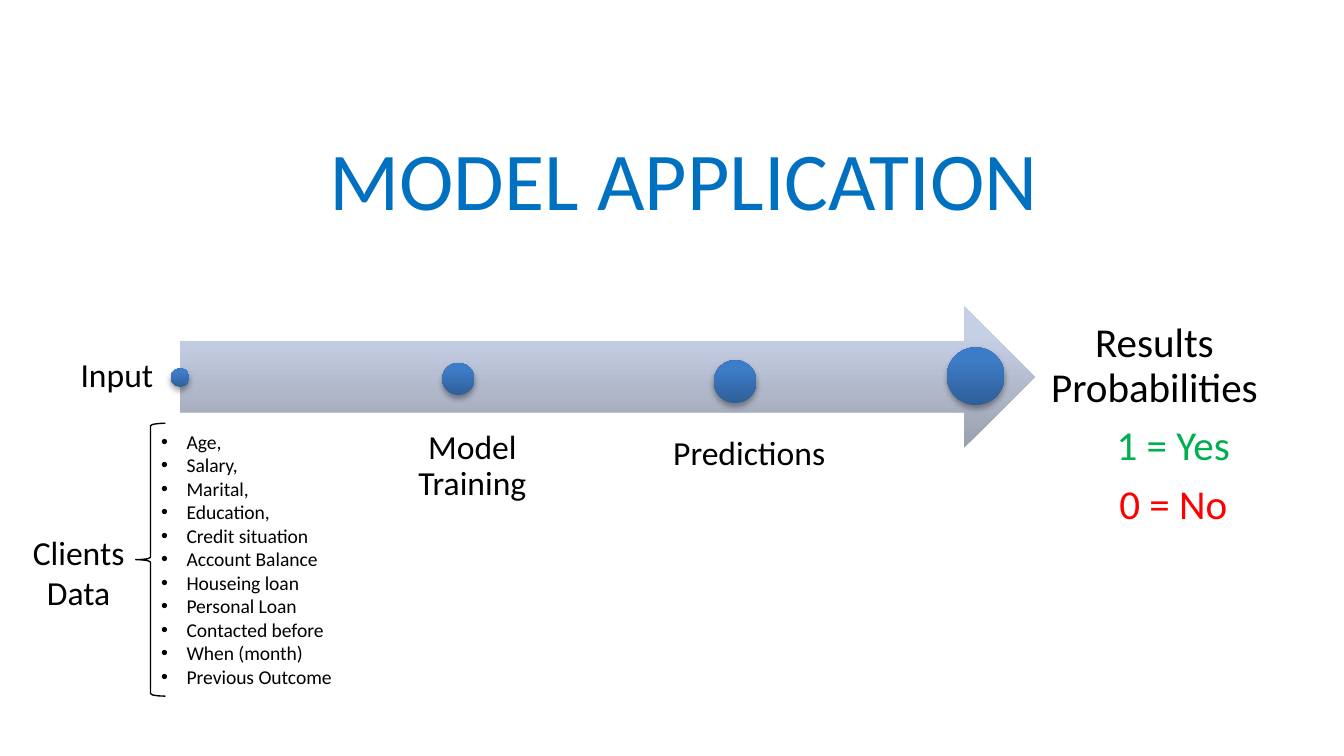
from dataclasses import dataclass

from lxml import etree
from pptx import Presentation
from pptx import util as u
from pptx.dml.color import RGBColor
from pptx.enum import shapes, text
from pptx.oxml import parse_xml
from pptx.oxml.ns import nsdecls, qn


@dataclass(frozen=True)
class Theme:
    font: str = "Calibri"
    title_size: float = 44
    result_size: float = 22
    label_size: float = 18
    list_size: float = 10.5
    ink: str = "000000"
    title: str = "0070C0"
    yes: str = "00B050"
    no: str = "FF0000"
    # Gradient stops run from the bottom edge to the top edge.
    arrow: tuple = ((0, "99A0B0"), (80, "C6D0E4"), (100, "C6D1E6"))
    dot: tuple = ((0, "2F5F99"), (80, "3D7CC7"), (100, "3A7CCB"))


class SlideBuilder:
    def __init__(self, slide, theme):
        self.slide = slide
        self.theme = theme

    def add_run(self, paragraph, words, size, color):
        run = paragraph.add_run()
        run.text = words
        run.font.name = self.theme.font
        run.font.size = u.Pt(size)
        run.font.color.rgb = RGBColor.from_string(color)

    def title(self, words, box):
        holder = self.slide.shapes.title
        holder.left, holder.top, holder.width, holder.height = map(u.Inches, box)
        holder.text_frame.vertical_anchor = text.MSO_ANCHOR.MIDDLE
        paragraph = holder.text_frame.paragraphs[0]
        paragraph.alignment = text.PP_ALIGN.CENTER
        self.add_run(paragraph, words, self.theme.title_size, self.theme.title)

    def text_box(self, lines, box, size, align=text.PP_ALIGN.CENTER, wrap=True):
        """Put one paragraph per (words, color) pair in a box and return its frame."""
        frame = self.slide.shapes.add_textbox(*map(u.Inches, box)).text_frame
        frame.word_wrap = wrap
        for index, (words, color) in enumerate(lines):
            paragraph = frame.add_paragraph() if index else frame.paragraphs[0]
            paragraph.alignment = align
            self.add_run(paragraph, words, size, color)
        return frame

    def label(self, lines, box, size, left_inset=0.07):
        """Add a stage caption with tight line spacing and no outer margins."""
        frame = self.text_box(lines, box, size)
        frame.margin_left = u.Inches(left_inset)
        frame.margin_top = frame.margin_right = frame.margin_bottom = 0
        for paragraph in frame.paragraphs:
            paragraph.line_spacing = 0.9
            paragraph.space_after = u.Pt(0.35 * size)
        return frame

    def indent(self, paragraph, left, first=0):
        properties = paragraph._p.get_or_add_pPr()
        properties.set("marL", str(u.Inches(left)))
        properties.set("indent", str(u.Inches(first)))
        return properties

    def bullet_list(self, items, box):
        lines = [(item, self.theme.ink) for item in items]
        frame = self.text_box(lines, box, self.theme.list_size, text.PP_ALIGN.LEFT)
        frame.vertical_anchor = text.MSO_ANCHOR.MIDDLE
        for paragraph in frame.paragraphs:
            properties = self.indent(paragraph, 0.19, -0.19)
            etree.SubElement(properties, qn("a:buFont"), typeface="Arial")
            etree.SubElement(properties, qn("a:buChar"), char="•")

    def gradient_shape(self, kind, box, stops):
        shape = self.slide.shapes.add_shape(kind, *map(u.Inches, box))
        shape.line.fill.background()
        shape.shadow.inherit = False
        shape.fill.background()
        properties = shape._element.spPr
        stop_xml = "".join(
            f'<a:gs pos="{position * 1000}"><a:srgbClr val="{color}"/></a:gs>'
            for position, color in stops
        )
        gradient = parse_xml(
            f'<a:gradFill {nsdecls("a")} rotWithShape="1"><a:gsLst>{stop_xml}</a:gsLst>'
            '<a:lin ang="16200000" scaled="0"/></a:gradFill>'
        )
        properties.replace(properties.find(qn("a:noFill")), gradient)
        return shape

    def dot(self, center_x, center_y, size):
        box = (center_x - size / 2, center_y - size / 2, size, size)
        shape = self.gradient_shape(shapes.MSO_SHAPE.OVAL, box, self.theme.dot)
        shape._element.spPr.find(qn("a:effectLst")).append(parse_xml(
            f'<a:outerShdw {nsdecls("a")} blurRad="{u.Pt(3.1)}" dist="{u.Pt(1.8)}" '
            'dir="5400000" rotWithShape="0"><a:srgbClr val="000000">'
            '<a:alpha val="35000"/></a:srgbClr></a:outerShdw>'
        ))

    def brace(self, box):
        shape = self.slide.shapes.add_shape(shapes.MSO_SHAPE.LEFT_BRACE, *map(u.Inches, box))
        shape.shadow.inherit = False
        shape.fill.background()
        shape.line.color.rgb = RGBColor.from_string(self.theme.ink)
        shape.line.width = u.Pt(0.75)


def main():
    deck = Presentation()
    deck.slide_width = u.Inches(10)
    deck.slide_height = deck.slide_width * 9 // 16
    theme = Theme()
    page = SlideBuilder(deck.slides.add_slide(deck.slide_layouts[5]), theme)

    page.title("MODEL APPLICATION", (0.59, 0.85, 9, 0.94))

    client_fields = (
        "Age,", "Salary,", "Marital,", "Education,", "Credit situation",
        "Account Balance", "Houseing loan", "Personal Loan", "Contacted before",
        "When (month)", "Previous Outcome",
    )
    page.bullet_list(client_fields, (1.1, 3.15, 1.65, 2.02))

    page.gradient_shape(shapes.MSO_SHAPE.RIGHT_ARROW, (1.34, 2.28, 6.36, 1.05), theme.arrow)
    for milestone in ((1.34, 2.81, 0.14), (3.41, 2.82, 0.24),
                      (5.47, 2.84, 0.32), (7.26, 2.8, 0.43)):
        page.dot(*milestone)

    stages = (
        ("Input", (0.46, 2.67, 0.75, 0.33)),
        ("Model Training", (2.75, 3.2, 1.46, 0.6)),
        ("Predictions", (4.81, 3.25, 1.46, 0.6)),
    )
    for stage, box in stages:
        page.label([(stage, theme.ink)], box, theme.label_size)

    outcomes = [("Results Probabilities", theme.ink), ("1 = Yes", theme.yes), ("0 = No", theme.no)]
    results = page.label(outcomes, (7.3, 2.4, 2.35, 1.8), theme.result_size, left_inset=0.23)
    for outcome in results.paragraphs[1:]:
        page.indent(outcome, 0.28)

    page.brace((1.01, 3.15, 0.22, 2.03))
    page.text_box([("Clients", theme.ink), ("Data", theme.ink)],
                  (0.14, 3.91, 0.89, 0.71), theme.label_size, wrap=False)

    deck.save("out.pptx")


if __name__ == "__main__":
    main()
